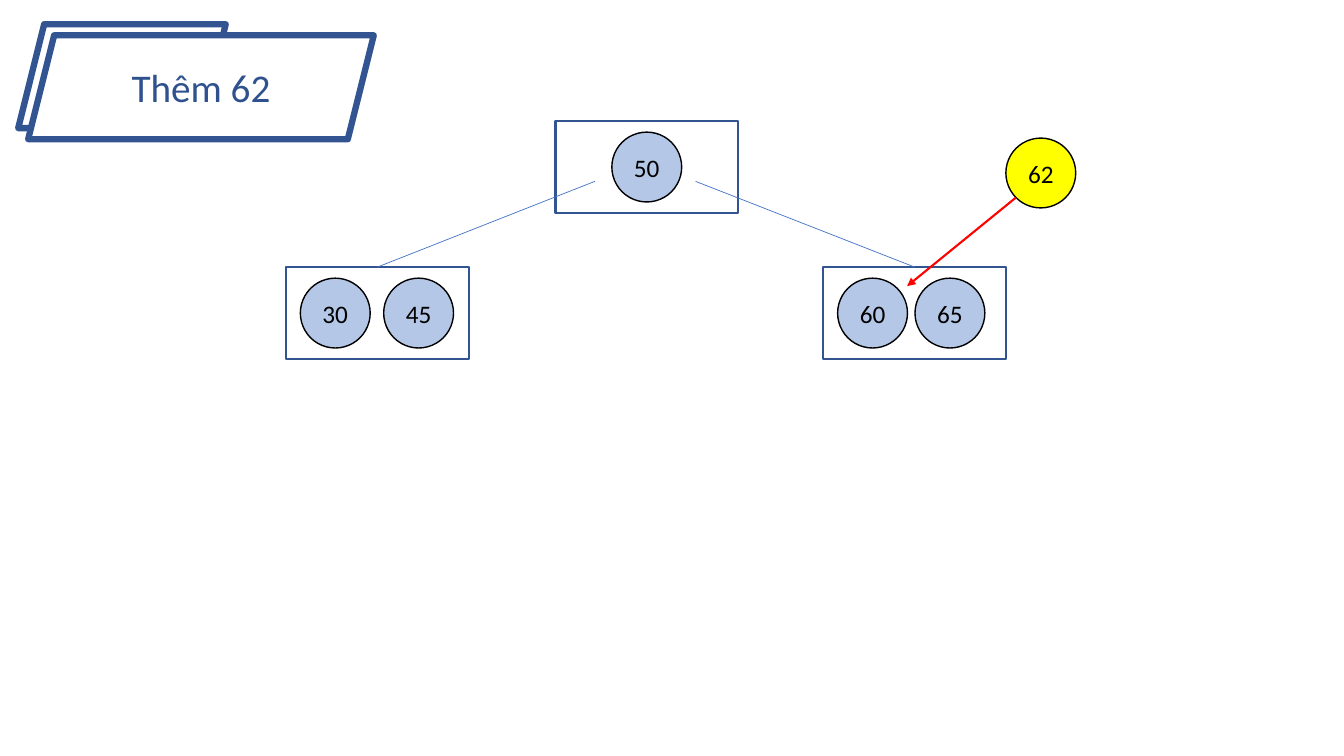
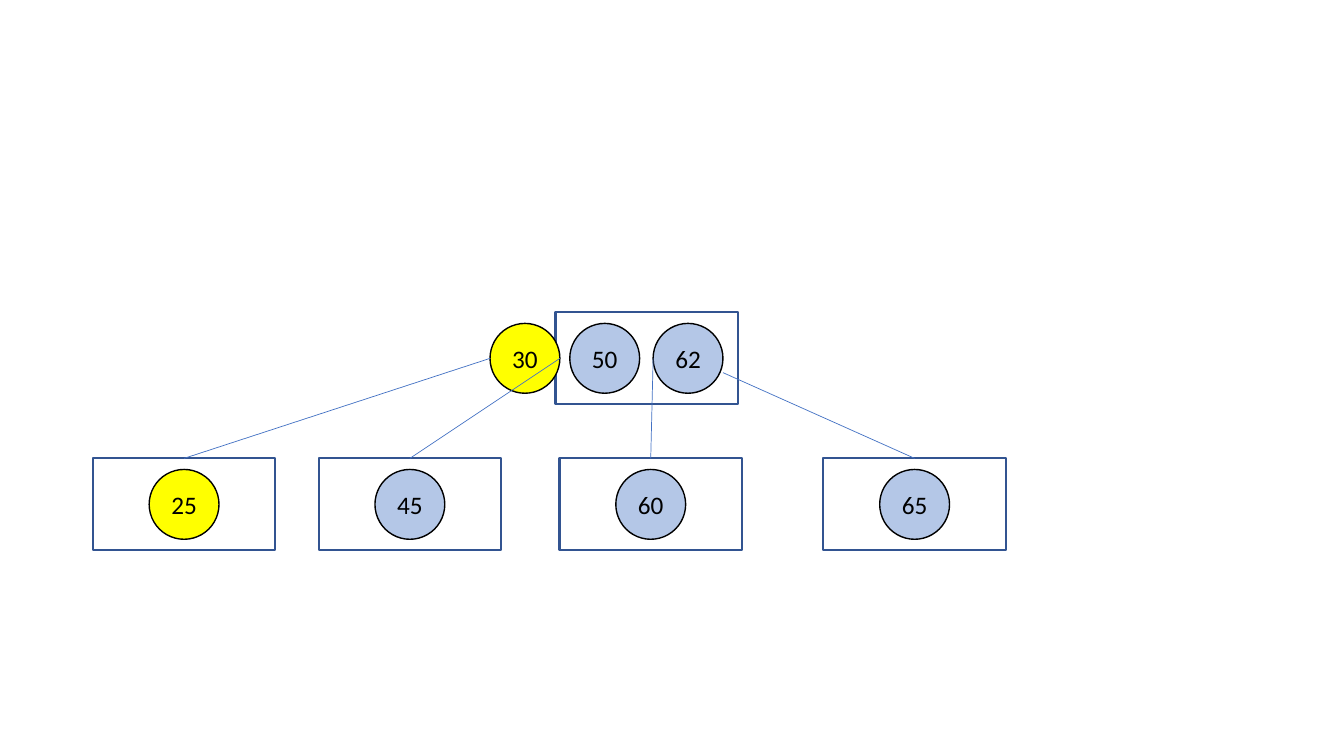
from dataclasses import dataclass

from lxml import etree
from pptx import Presentation
from pptx import util as u
from pptx.dml.color import RGBColor
from pptx.enum import shapes, text
from pptx.oxml import ns

Cm, Pt = u.Cm, u.Pt
SHAPE = shapes.MSO_SHAPE


@dataclass(frozen=True)
class Theme:
    font: str = "Calibri"
    key_size: float = 18
    title_size: float = 28
    ink: str = "000000"
    paper: str = "FFFFFF"
    frame: str = "325491"
    title: str = "2F528F"
    link: str = "4472C4"
    key: str = "B4C7E7"
    marked: str = "FFFF00"
    arrow: str = "FF0000"


THEME = Theme()

# Lengths in centimetres
NODE_W, NODE_H = 4.6, 2.32
KEY = 1.76
KEY_TOP = (NODE_H - KEY) / 2
KEY_CENTRED = (NODE_W - KEY) / 2
KEY_LEFT, KEY_RIGHT = 0.36, 2.46
LEVEL = 3.68
ROOT_LEFT = 14


def colour(value):
    return RGBColor.from_string(value)


def write(shape, words, size, ink):
    frame = shape.text_frame
    frame.margin_left = frame.margin_right = 0
    frame.vertical_anchor = text.MSO_ANCHOR.MIDDLE
    para = frame.paragraphs[0]
    para.alignment = text.PP_ALIGN.CENTER
    span = para.add_run()
    span.text = words
    span.font.name = THEME.font
    span.font.size = Pt(size)
    span.font.color.rgb = colour(ink)


def add_outline(page, kind, box, line, weight, fill=None):
    shape = page.shapes.add_shape(kind, *map(Cm, box))
    shape.shadow.inherit = False
    if fill:
        shape.fill.solid()
        shape.fill.fore_color.rgb = colour(fill)
    else:
        shape.fill.background()
    shape.line.color.rgb = colour(line)
    shape.line.width = Pt(weight)
    return shape


def add_line(page, start, end, line=THEME.link, weight=0.5, arrow=False):
    connector = page.shapes.add_connector(
        shapes.MSO_CONNECTOR.STRAIGHT, *map(Cm, (*start, *end)))
    connector.line.color.rgb = colour(line)
    connector.line.width = Pt(weight)
    properties = connector._element.spPr
    if arrow:
        stroke = properties.find(ns.qn("a:ln"))
        etree.SubElement(stroke, ns.qn("a:tailEnd"), type="triangle")
    etree.SubElement(properties, ns.qn("a:effectLst"))


def add_key(page, left, top, number, marked=False):
    fill = THEME.marked if marked else THEME.key
    circle = add_outline(page, SHAPE.OVAL, (left, top, KEY, KEY), THEME.ink, 1, fill)
    write(circle, str(number), THEME.key_size, THEME.ink)


def add_node(page, left, top, keys, marked=()):
    """Draw a node; keys maps each number to its offset from the node's left."""
    add_outline(page, SHAPE.RECTANGLE, (left, top, NODE_W, NODE_H), THEME.frame, 1.5)
    for number, offset in keys.items():
        add_key(page, left + offset, top + KEY_TOP, number, number in marked)


def add_tree(page, top, root_keys, children, marked=()):
    """Draw a root and its children: (left, keys, link start within the root)."""
    add_node(page, ROOT_LEFT, top, root_keys, marked)
    child_top = top + LEVEL
    for left, keys, _ in children:
        add_node(page, left, child_top, keys, marked)
    for left, _, (across, down) in children:
        add_line(page, (ROOT_LEFT + across, top + down),
                 (left + NODE_W / 2, child_top))


def add_title(page, left, top, words):
    height = 2.62
    add_outline(page, SHAPE.PARALLELOGRAM, (left, top, 5.23, height),
                THEME.frame, 4.5, THEME.paper)
    front = add_outline(page, SHAPE.PARALLELOGRAM,
                        (left + 0.25, top + 0.28, 8.71, height),
                        THEME.frame, 4.5, THEME.paper)
    write(front, words, THEME.title_size, THEME.title)


def build_insertion(page):
    add_tree(page, 3.05, {50: KEY_CENTRED}, [
        (7.21, {30: KEY_LEFT, 45: KEY_RIGHT}, (0.99, 1.52)),
        (20.75, {60: KEY_LEFT, 65: 2.31}, (3.53, 1.52)),
    ])
    add_key(page, 25.35, 3.48, 62, marked=True)
    add_line(page, (25.6, 4.98), (22.86, 7.21), THEME.arrow, 1.5, arrow=True)
    add_title(page, 0.46, 0.61, "Thêm 62")


def build_split(page):
    middle = NODE_H / 2
    outside = -1.65
    add_tree(page, 7.87, {30: outside, 50: KEY_LEFT, 62: KEY_RIGHT}, [
        (2.34, {25: KEY_CENTRED}, (outside, middle)),
        (8.03, {45: KEY_CENTRED}, (outside + KEY, middle)),
        (14.1, {60: KEY_CENTRED}, (KEY_RIGHT, middle)),
        (20.75, {65: KEY_CENTRED}, (KEY_RIGHT + KEY, 1.52)),
    ], marked=(25, 30))


def main():
    deck = Presentation()
    deck.slide_width, deck.slide_height = Cm(33.87), Cm(19.05)
    for build in (build_insertion, build_split):
        build(deck.slides.add_slide(deck.slide_layouts[6]))
    deck.save("out.pptx")


if __name__ == "__main__":
    main()
